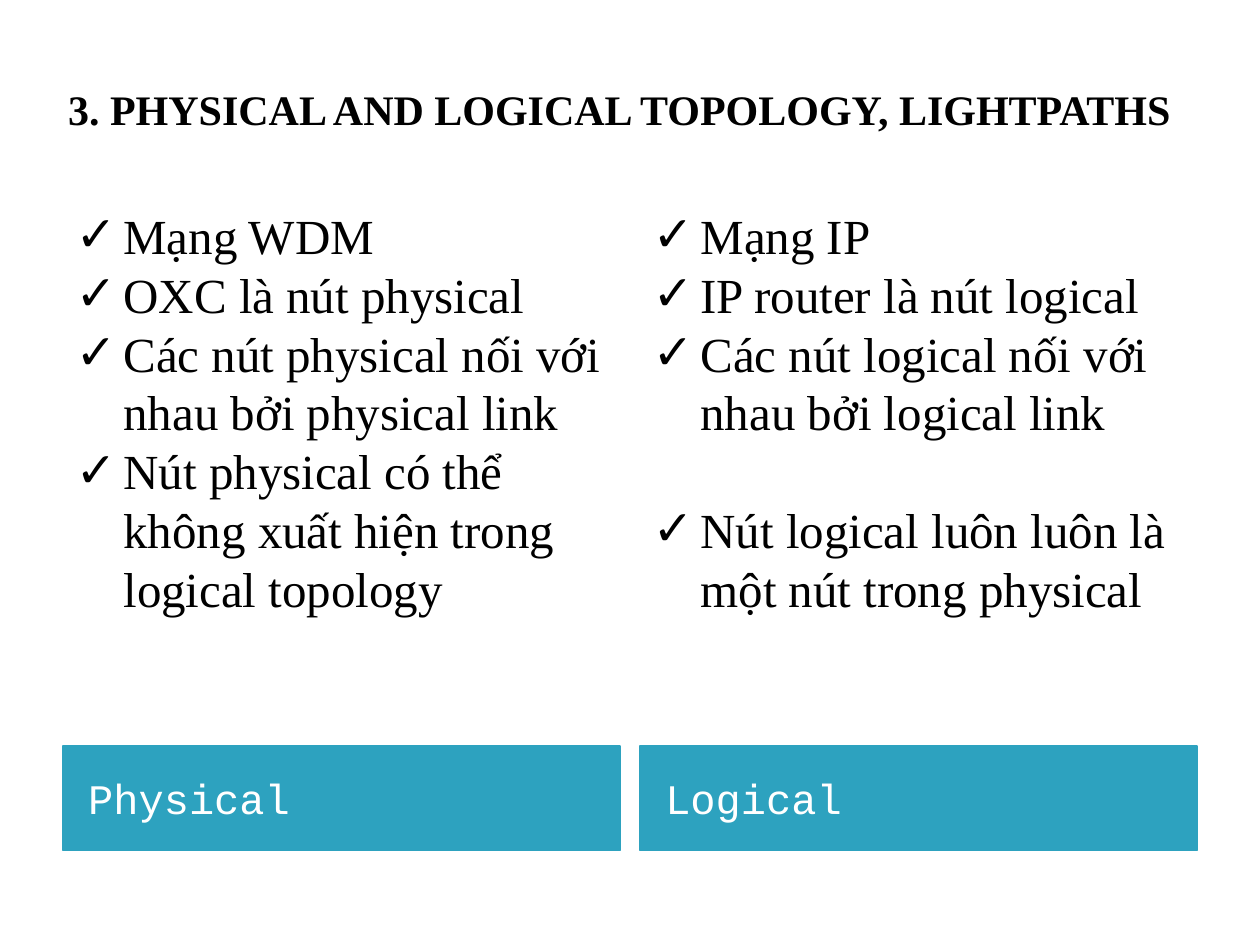
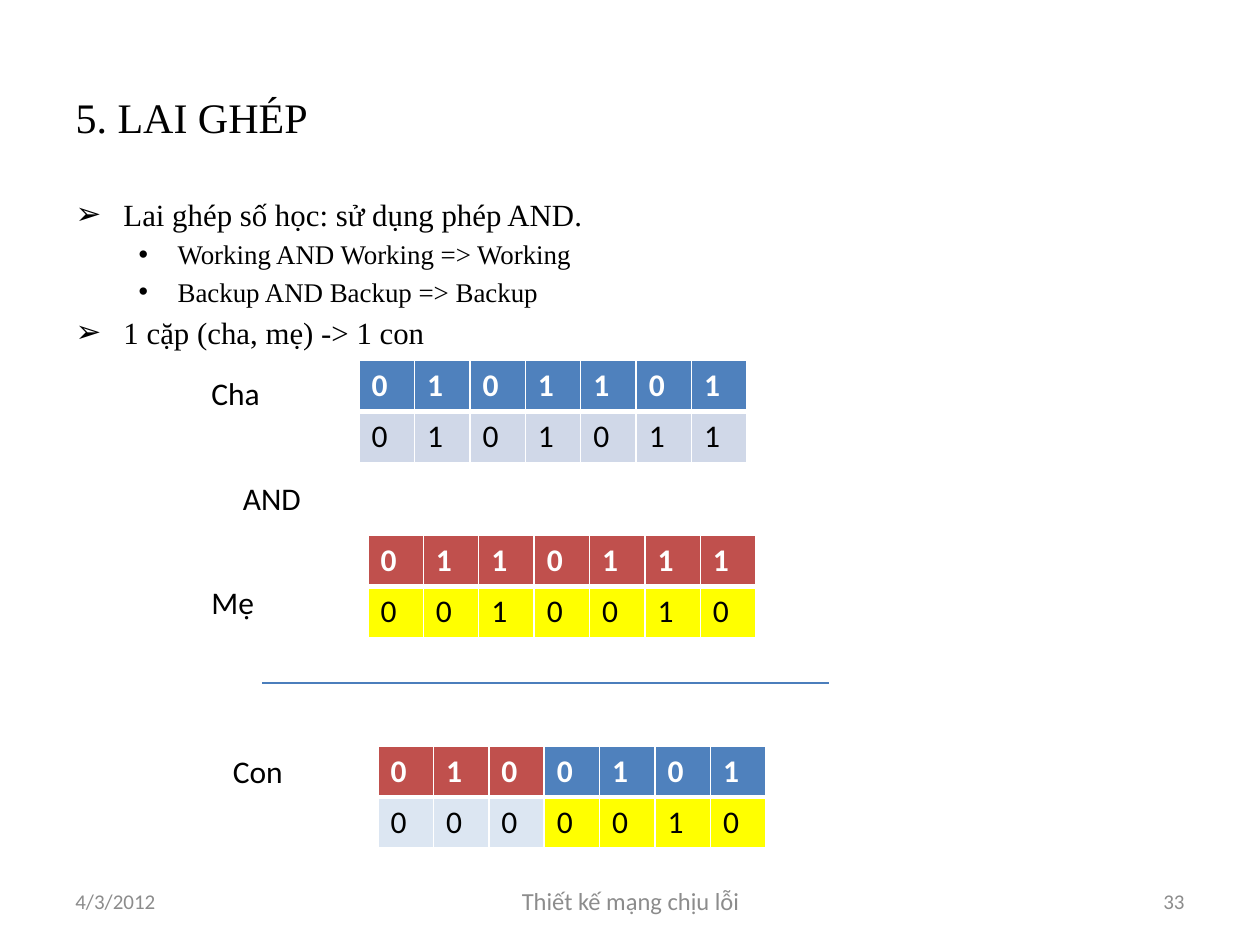
from lxml.etree import SubElement
from pptx import Presentation
from pptx.dml.color import RGBColor
from pptx.enum.shapes import MSO_CONNECTOR as Connector, MSO_SHAPE as Shape
from pptx.enum.text import MSO_ANCHOR as Anchor, MSO_AUTO_SIZE as AutoSize, PP_ALIGN as Align
from pptx.oxml.ns import qn
from pptx.util import Inches, Pt

COLORS = {
    "black": "000000", "white": "FFFFFF", "gray": "8C8C8C", "teal": "2DA2BF",
    "blue": "4F81BD", "line": "4B7EBC", "red": "C0504D", "yellow": "FFFF00",
    "lavender": "D0D8E8", "pale": "DCE6F2",
}
SERIF, SANS, MONO = "Times New Roman", "Calibri", "Courier New"
TITLE = {"size": Pt(24), "name": SERIF}
LABEL = {"size": Pt(18), "name": SANS}


def write(paragraph, text, font, color="black", align=Align.LEFT, before=0):
    """Fill a paragraph with one run and apply its format values."""
    run = paragraph.add_run()
    run.text = text
    for key, value in font.items():
        setattr(run.font, key, value)
    run.font.color.rgb = RGBColor.from_string(COLORS[color])
    layout = {"alignment": align, "space_before": Pt(before), "space_after": Pt(0)}
    for key, value in layout.items():
        setattr(paragraph, key, value)


def place(part, box, anchor=Anchor.TOP):
    """Move a text part to box and return its text frame."""
    for key, value in zip(("left", "top", "width", "height"), box):
        setattr(part, key, Inches(value))
    frame = part.text_frame
    settings = {"word_wrap": True, "auto_size": AutoSize.NONE, "vertical_anchor": anchor}
    for key, value in settings.items():
        setattr(frame, key, value)
    return frame


deck = Presentation()
deck.slide_width, deck.slide_height = Inches(10), Inches(7.5)
topology = deck.slides.add_slide(deck.slide_layouts[3])
crossover = deck.slides.add_slide(deck.slide_layouts[1])

# Titles
for slide, text, left, top, bold in [
    (topology, "3. PHYSICAL AND LOGICAL TOPOLOGY, LIGHTPATHS", 0.44, 0.24, True),
    (crossover, "5. LAI GHÉP", 0.5, 0.3, False),
]:
    frame = place(slide.shapes.title, (left, top, 9, 1.25), Anchor.MIDDLE)
    write(frame.paragraphs[0], text, TITLE | {"bold": bold})

# Teal captions under the two topology columns
COLUMN_LEFTS, COLUMN_WIDTH = (0.5, 5.08), 4.42
for left, text in zip(COLUMN_LEFTS, ("Physical", "Logical")):
    caption = topology.shapes.add_shape(Shape.RECTANGLE, 0, 0, 0, 0)
    frame = place(caption, (left, 5.92, COLUMN_WIDTH, 0.83), Anchor.MIDDLE)
    frame.margin_left = Inches(0.2)
    caption.shadow.inherit = False
    caption.fill.solid()
    caption.fill.fore_color.rgb = RGBColor.from_string(COLORS["teal"])
    caption.line.color.rgb = RGBColor.from_string(COLORS["teal"])
    caption.line.width = Pt(0.75)
    write(frame.paragraphs[0], text, {"size": Pt(24), "name": MONO}, "white", before=4)

# Bulleted lists: text, level, bullet, size, space before
physical = [(text, 0, "✓", 28, 0) for text in (
    "Mạng WDM",
    "OXC là nút physical",
    "Các nút physical nối với nhau bởi physical link",
    "Nút physical có thể không xuất hiện trong logical topology",
)]
logical = [(text, 0, "✓", 28, before) for text, before in (
    ("Mạng IP", 0),
    ("IP router là nút logical", 0),
    ("Các nút logical nối với nhau bởi logical link", 0),
    ("Nút logical luôn luôn là một nút trong physical", 33.6),
)]
rules = [
    ("Lai ghép số học: sử dụng phép AND.", 0, "➢", 17.6, 3.5),
    ("Working AND Working => Working", 1, "•", 15.4, 3.1),
    ("Backup AND Backup => Backup", 1, "•", 15.4, 3.1),
    ("1 cặp (cha, mẹ) -> 1 con", 0, "➢", 17.6, 3.5),
]
INDENTS = [(0.38, -0.38), (0.81, -0.31)]
for body, box, items in [
    (topology.placeholders[1], (COLUMN_LEFTS[0], 1.58, COLUMN_WIDTH, 4.31), physical),
    (topology.placeholders[2], (COLUMN_LEFTS[1], 1.58, COLUMN_WIDTH, 4.31), logical),
    (crossover.placeholders[1], (0.5, 1.5, 9, 1.17), rules),
]:
    frame = place(body, box)
    for number, (text, level, bullet, size, before) in enumerate(items):
        paragraph = frame.add_paragraph() if number else frame.paragraphs[0]
        write(paragraph, text, {"size": Pt(size), "name": SERIF}, before=before)
        paragraph.level = level
        properties = paragraph._p.get_or_add_pPr()
        for key, value in zip(("marL", "indent"), INDENTS[level]):
            properties.set(key, str(Inches(value)))
        SubElement(properties, qn("a:buChar")).set("char", bullet)

# Footer: date, topic and page number
for text, left, width, size, align in [
    ("4/3/2012", 0.5, 2.33, 12, Align.LEFT),
    ("Thiết kế mạng chịu lỗi", 3.42, 3.17, 14, Align.CENTER),
    ("33", 7.17, 2.33, 12, Align.RIGHT),
]:
    footer = crossover.shapes.add_textbox(0, 0, 0, 0)
    frame = place(footer, (left, 6.95, width, 0.4), Anchor.MIDDLE)
    write(frame.paragraphs[0], text, {"size": Pt(size), "name": SANS}, "gray", align)

# Chromosome tables: two rows of genes, each with a fill per gene
GENES, GENE_WIDTH, GENE_HEIGHT = 7, 0.44, 0.405
for left, top, chromosome in [
    (2.85, 2.86, [("0101101", ["blue"] * 7), ("0101011", ["lavender"] * 7)]),
    (2.92, 4.25, [("0110111", ["red"] * 7), ("0010010", ["yellow"] * 7)]),
    (3, 5.92, [("0100101", ["red"] * 3 + ["blue"] * 4),
               ("0000010", ["pale"] * 3 + ["yellow"] * 4)]),
]:
    table = crossover.shapes.add_table(
        2, GENES, Inches(left), Inches(top),
        Inches(GENES * GENE_WIDTH), Inches(2 * GENE_HEIGHT)).table
    for column in table.columns:
        column.width = Inches(GENE_WIDTH)
    for row, (genes, fills) in enumerate(chromosome):
        header = row == 0
        for column, (gene, fill) in enumerate(zip(genes, fills)):
            cell = table.cell(row, column)
            write(cell.text_frame.paragraphs[0], gene, LABEL | {"bold": header},
                  "white" if header else "black")
            # Borders come before the fill in the cell properties
            properties = cell._tc.get_or_add_tcPr()
            for side in ("lnL", "lnR", "lnT", "lnB"):
                thick = (header and side == "lnB") or (not header and side == "lnT")
                border = SubElement(properties, qn("a:" + side), w=str(Pt(3 if thick else 1)))
                paint = SubElement(border, qn("a:solidFill"))
                SubElement(paint, qn("a:srgbClr"), val=COLORS["white"])
            cell.fill.solid()
            cell.fill.fore_color.rgb = RGBColor.from_string(COLORS[fill])

# Labels beside the tables
for text, left, top, width in [
    ("Cha", 1.58, 2.92, 1),
    ("Mẹ", 1.58, 4.58, 1),
    ("AND", 1.83, 3.75, 0.92),
    ("Con", 1.75, 5.92, 1),
]:
    label = crossover.shapes.add_textbox(0, 0, 0, 0)
    frame = place(label, (left, top, width, 0.4))
    write(frame.paragraphs[0], text, LABEL)

# Rule between the parents and the child
rule = crossover.shapes.add_connector(
    Connector.STRAIGHT, Inches(2.08), Inches(5.42), Inches(6.58), Inches(5.42))
rule.line.color.rgb = RGBColor.from_string(COLORS["line"])
rule.line.width = Pt(0.75)
SubElement(rule._element.spPr, qn("a:effectLst"))

deck.save("out.pptx")
